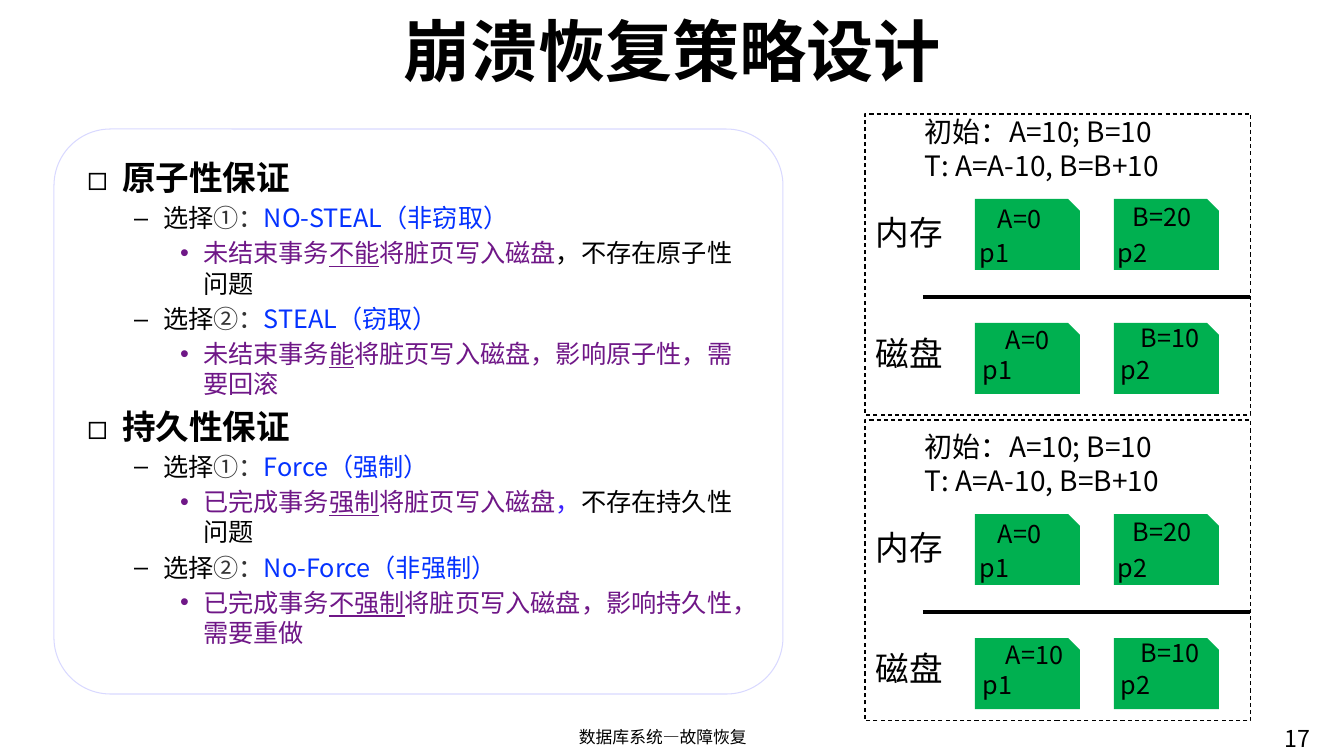
from lxml.etree import SubElement
from pptx import Presentation
from pptx.dml.color import RGBColor
from pptx.enum.dml import MSO_LINE
from pptx.enum.shapes import MSO_CONNECTOR, MSO_SHAPE
from pptx.enum.text import MSO_ANCHOR, MSO_AUTO_SIZE, PP_ALIGN
from pptx.oxml.ns import qn
from pptx.util import Pt

FONT = "Noto Sans CJK SC"
HUES = {"ink": "000000", "gray": "333333", "blue": "0432FF", "plum": "6F1787",
        "iris": "3B20FF", "pale": "D9D9FF", "leaf": "00B050", "white": "FFFFFF"}
TITLE = "崩溃恢复策略设计"
FOOTER = "数据库系统—故障恢复"
NUMBER = "17"
POINTS = [
    (0, [("原子性保证", "ink")]),
    (1, [("选择", "ink"), ("①：", "gray"), ("NO-STEAL（非窃取）", "blue")]),
    (2, [("未结束事务", "plum"), ("不能", "plum", True), ("将脏页写入磁盘", "plum"),
         ("，不存在原子性问题", "ink")]),
    (1, [("选择", "ink"), ("②：", "gray"), ("STEAL（窃取）", "blue")]),
    (2, [("未结束事务", "plum"), ("能", "plum", True),
         ("将脏页写入磁盘，影响原子性，需要回滚", "plum")]),
    (0, [("持久性保证", "ink")]),
    (1, [("选择", "ink"), ("①：", "gray"), ("Force（强制）", "blue")]),
    (2, [("已完成事务", "plum"), ("强制", "plum", True), ("将脏页写入磁盘", "plum"),
         ("，", "iris"), ("不存在持久性问题", "ink")]),
    (1, [("选择", "ink"), ("②：", "gray"), ("No-Force（非强制）", "blue")]),
    (2, [("已完成事务", "plum"), ("不强制", "plum", True),
         ("将脏页写入磁盘，影响持久性，需要重做", "plum")]),
]
LEVELS = [("◻", FONT, 35, 35, 24), ("–", "Arial", 76, 29, 18), ("•", "Arial", 116, 23, 18)]
HEAD = ["初始：A=10; B=10", "T: A=A-10, B=B+10"]
PAGES = ["p1", "p2"]
PANELS = [(114, 0, [("内存", ["A=0", "B=20"]), ("磁盘", ["A=0", "B=10"])]),
          (420, 315, [("内存", ["A=0", "B=20"]), ("磁盘", ["A=10", "B=10"])])]
ROWS = [(199, 207, 970, 232, 988, 198), (323, 328, 973, 349, 996, 319)]


def px(n):
    return round(n * 914400 / 100.8)


def hue(name):
    return RGBColor.from_string(HUES[name])


def add_run(para, text, size, color="ink", under=False, bold=False):
    run = para.add_run()
    run.text = text
    font = run.font
    font.size, font.bold, font.name = Pt(size), bold, FONT
    font.color.rgb = hue(color)
    if under:
        font.underline = True
    SubElement(run._r.get_or_add_rPr(), qn("a:ea"), typeface=FONT)


def place(shape, x, y, w, h):
    shape.left, shape.top, shape.width, shape.height = map(px, (x, y, w, h))


def add_text(x, y, w, h, lines, size, align=PP_ALIGN.LEFT):
    frame = slide.shapes.add_textbox(*map(px, (x, y, w, h))).text_frame
    frame.word_wrap = True
    for i, line in enumerate(lines):
        para = frame.add_paragraph() if i else frame.paragraphs[0]
        para.alignment = align
        add_run(para, line, size)


def add_box(kind, x, y, w, h, fill=None, line=None):
    box = slide.shapes.add_shape(kind, *map(px, (x, y, w, h)))
    box.shadow.inherit = False
    if fill:
        box.fill.solid()
        box.fill.fore_color.rgb = hue(fill)
    else:
        box.fill.background()
    if line:
        box.line.color.rgb = hue(line)
        box.line.width = Pt(0.75)
    else:
        box.line.fill.background()
    return box


def add_title():
    title = slide.shapes.title
    place(title, 116, 12, 1113, 75)
    frame = title.text_frame
    frame.auto_size = MSO_AUTO_SIZE.NONE
    frame.vertical_anchor = MSO_ANCHOR.MIDDLE
    para = frame.paragraphs[0]
    para.alignment = PP_ALIGN.CENTER
    add_run(para, TITLE, 48, bold=True)


def add_points():
    body = slide.placeholders[1]
    place(body, 77, 152, 679, 551)
    frame = body.text_frame
    frame.auto_size = MSO_AUTO_SIZE.NONE
    frame.vertical_anchor = MSO_ANCHOR.TOP
    for i, (level, runs) in enumerate(POINTS):
        para = frame.add_paragraph() if i else frame.paragraphs[0]
        mark, face, left, hang, size = LEVELS[level]
        para.level = level
        para.alignment = PP_ALIGN.LEFT
        para.space_before = Pt(size * 0.2 if i else 0)
        props = para._p.get_or_add_pPr()
        props.set("marL", str(px(left)))
        props.set("indent", str(-px(hang)))
        SubElement(props, qn("a:buFont"), typeface=face)
        SubElement(props, qn("a:buChar"), char=mark)
        for text, color, *under in runs:
            add_run(para, text, size, color, bool(under), level == 0)


def add_panel(top, shift, rows):
    for (card, label, page, low, value, high), (name, cells) in zip(ROWS, rows):
        for i, cell in enumerate(cells):
            add_box(MSO_SHAPE.SNIP_1_RECTANGLE, 975 + 139 * i, card + shift, 105, 71, "leaf")
            add_text(page + 138 * i, low + shift, 56, 40, [PAGES[i]], 18)
            add_text(value + 135 * i, high - 2 * i + shift, 91, 40, [cell], 18)
        add_text(866, label + shift, 117, 50, [name], 24)
    ends = map(px, (923, 297 + shift, 1250, 297 + shift))
    rule = slide.shapes.add_connector(MSO_CONNECTOR.STRAIGHT, *ends)
    rule.line.color.rgb = hue("ink")
    rule.line.width = Pt(3.5)
    SubElement(rule._element.spPr, qn("a:effectLst"))
    add_text(915, 110 + shift, 316, 78, HEAD, 20)
    frame = add_box(MSO_SHAPE.RECTANGLE, 865, top, 386, 301, line="ink")
    frame.line.dash_style = MSO_LINE.DASH


deck = Presentation()
deck.slide_width, deck.slide_height = px(1344), px(756)
slide = deck.slides.add_slide(deck.slide_layouts[1])
card = add_box(MSO_SHAPE.ROUNDED_RECTANGLE, 54, 129, 729, 565, "white", "pale")
card.adjustments[0] = 0.1
slide.shapes._spTree.insert(2, card._element)
add_title()
add_points()
add_text(451, 722, 424, 34, [FOOTER], 12, PP_ALIGN.CENTER)
add_text(1275, 719, 62, 37, [NUMBER], 16.6)
for panel in PANELS:
    add_panel(*panel)
deck.save("out.pptx")
